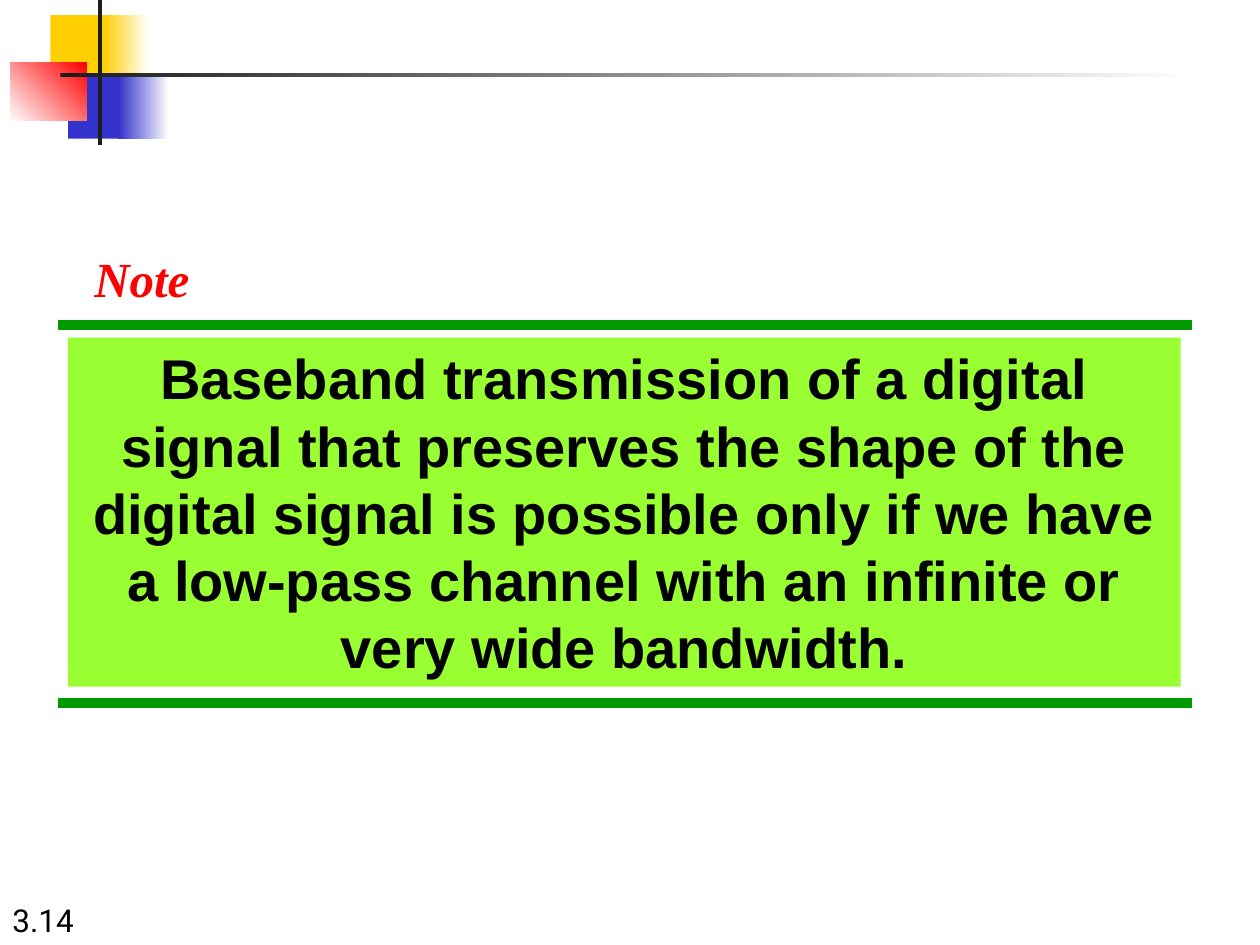
from lxml import etree
from pptx import Presentation
from pptx.dml.color import RGBColor
from pptx.enum.shapes import MSO_CONNECTOR, MSO_SHAPE
from pptx.enum.text import MSO_ANCHOR, MSO_AUTO_SIZE, PP_ALIGN
from pptx.oxml.ns import qn
from pptx.util import Inches, Pt

RECTANGLE = MSO_SHAPE.RECTANGLE
STRAIGHT = MSO_CONNECTOR.STRAIGHT
TOP, BOTTOM = MSO_ANCHOR.TOP, MSO_ANCHOR.BOTTOM
LEFT, CENTER = PP_ALIGN.LEFT, PP_ALIGN.CENTER
FIXED, GROW = MSO_AUTO_SIZE.NONE, MSO_AUTO_SIZE.SHAPE_TO_FIT_TEXT

WHITE = RGBColor(0xFF, 0xFF, 0xFF)
BLACK = RGBColor(0x00, 0x00, 0x00)
CHARCOAL = RGBColor(0x1C, 0x1C, 0x1C)
YELLOW = RGBColor(0xFF, 0xCF, 0x01)
BLUE = RGBColor(0x33, 0x33, 0xCC)
RED = RGBColor(0xFF, 0x00, 0x00)
GREEN = RGBColor(0x00, 0x99, 0x00)
LIME = RGBColor(0x99, 0xFF, 0x33)

# Content
PAGE_NUMBER = "3.14"
HEADING = "Note"
STATEMENT = (
    "Baseband transmission of a digital signal that preserves the shape of the "
    "digital signal is possible only if we have a low-pass channel with an "
    "infinite or very wide bandwidth."
)

PAGE_FORMAT = {"size": Pt(18), "name": "Roboto"}
HEADING_FORMAT = {"size": Pt(28), "name": "Times New Roman", "bold": True, "italic": True}
STATEMENT_FORMAT = {"size": Pt(32), "name": "Arial", "bold": True}

# Corner ornament: (left, top, width, height), colours, gradient angle
ORNAMENT = [
    ((0.4, 0.12, 0.48, 0.52), [YELLOW], 0),
    ((0.82, 0.12, 0.36, 0.52), [YELLOW, WHITE], 0),
    ((0.54, 0.58, 0.46, 0.52), [BLUE], 0),
    ((0.94, 0.58, 0.4, 0.52), [BLUE, WHITE], 0),
    ((0.08, 0.5, 0.61, 0.46), [WHITE, RED], 45),
    ((0.78, 0, 0.03, 1.15), [CHARCOAL], 0),
    ((0.48, 0.58, 9, 0.03), [CHARCOAL, WHITE], 0),
]
RULE_LEFT, RULE_RIGHT = 0.5, 9.42
RULE_TOPS = [2.58, 5.58]


def add_block(slide, box, colors, angle=0):
    block = slide.shapes.add_shape(RECTANGLE, *map(Inches, box))
    block.shadow.inherit = False
    block.line.fill.background()
    if len(colors) == 1:
        block.fill.solid()
        block.fill.fore_color.rgb = colors[0]
    else:
        block.fill.gradient()
        block.fill.gradient_angle = angle
        for stop, color in zip(block.fill.gradient_stops, colors):
            stop.color.rgb = color
    return block


def add_rule(slide, top):
    rule = slide.shapes.add_connector(
        STRAIGHT, *map(Inches, (RULE_LEFT, top, RULE_RIGHT, top)))
    rule.line.color.rgb = GREEN
    rule.line.width = Pt(6)
    properties = rule._element.spPr
    properties.find(qn("a:ln")).set("cap", "sq")
    etree.SubElement(properties, qn("a:effectLst"))


def write(holder, text, font_format, color, align=LEFT, anchor=TOP, wrap=True, fit=FIXED):
    frame = holder.text_frame
    frame.word_wrap = wrap
    frame.auto_size = fit
    frame.vertical_anchor = anchor
    paragraph = frame.paragraphs[0]
    paragraph.alignment = align
    run = paragraph.add_run()
    run.text = text
    for attribute, value in font_format.items():
        setattr(run.font, attribute, value)
    run.font.color.rgb = color


def main():
    prs = Presentation()
    prs.slide_width, prs.slide_height = Inches(10), Inches(7.5)
    slide = prs.slides.add_slide(prs.slide_layouts[6])

    # Page number
    page = slide.shapes.add_textbox(*map(Inches, (0, 7, 2.08, 0.5)))
    write(page, PAGE_NUMBER, PAGE_FORMAT, BLACK, anchor=BOTTOM)

    # Corner ornament
    for box, colors, angle in ORNAMENT:
        add_block(slide, box, colors, angle)

    # Statement between two rules
    for top in RULE_TOPS:
        add_rule(slide, top)
    statement = add_block(slide, (0.54, 2.68, 8.83, 2.77), [LIME])
    write(statement, STATEMENT, STATEMENT_FORMAT, BLACK, align=CENTER)

    # Heading, on one line
    heading = slide.shapes.add_textbox(*map(Inches, (0.65, 1.92, 1, 0.57)))
    write(heading, HEADING, HEADING_FORMAT, RED, wrap=False, fit=GROW)

    prs.save("out.pptx")


if __name__ == "__main__":
    main()
